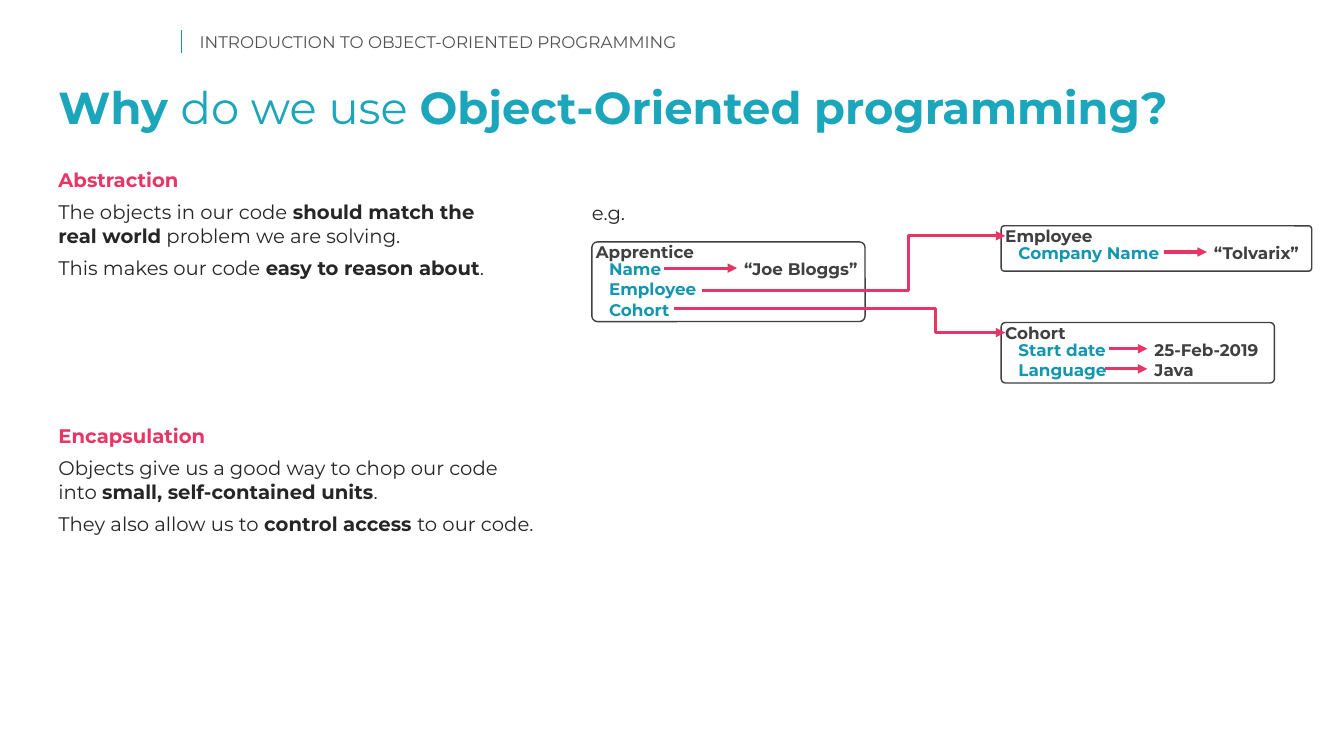
"""Build a slide explaining why object-oriented programming is used."""
from dataclasses import dataclass

import lxml.etree
import pptx
import pptx.dml.color
import pptx.enum.shapes
import pptx.enum.text
import pptx.oxml.ns
import pptx.util

Inches = pptx.util.Inches
RGBColor = pptx.dml.color.RGBColor
Connector = pptx.enum.shapes.MSO_CONNECTOR

FONT = "Montserrat"
TITLE_TEAL = RGBColor(0x1B, 0xA6, 0xBC)
TEAL = RGBColor(0x13, 0x96, 0xAE)
PINK = RGBColor(0xE7, 0x35, 0x65)
HEADER_GRAY = RGBColor(0x53, 0x53, 0x53)
CARD_GRAY = RGBColor(0x40, 0x40, 0x40)
BODY_GRAY = RGBColor(0x26, 0x26, 0x26)
ROW_HEIGHT = 0.2
FIELDS_TOP = 0.17


@dataclass
class Run:
    text: str
    color: RGBColor = BODY_GRAY
    bold: bool = False


@dataclass
class Field:
    label: str
    value: str = ""
    arrow_start: float = 0


@dataclass
class Card:
    name: str
    left: float
    top: float
    width: float
    height: float
    value_left: float
    fields: list[Field]


@dataclass
class Link:
    start: tuple[float, float]
    end: tuple[float, float]
    bend: int


@dataclass
class TextBlock:
    left: float
    top: float
    width: float
    height: float
    paragraphs: list[list[Run]]


CARDS = [
    Card("Employee", 9.93, 2.24, 3.08, 0.45, 2.11,
         [Field("Company Name", "“Tolvarix”", 1.61)]),
    Card("Apprentice", 5.87, 2.4, 2.71, 0.79, 1.51,
         [Field("Name", "“Joe Bloggs”", 0.72), Field("Employee"), Field("Cohort")]),
    Card("Cohort", 9.93, 3.2, 2.71, 0.6, 1.52,
         [Field("Start date", "25-Feb-2019", 1.07), Field("Language", "Java", 1.03)]),
]
LINKS = [
    Link((6.96, 2.88), (9.97, 2.34), 68100),
    Link((6.68, 3.06), (9.97, 3.3), 79000),
]
BLOCKS = [
    TextBlock(0.58, 1.67, 4.33, 1.11, [
        [Run("Abstraction", PINK, True)],
        [Run("The objects in our code "), Run("should match the real world", bold=True),
         Run(" problem we are solving.")],
        [Run("This makes our code "), Run("easy to reason about", bold=True), Run(".")],
    ]),
    TextBlock(0.58, 4.21, 4.73, 1.11, [
        [Run("Encapsulation", PINK, True)],
        [Run("Objects give us a good way to chop our code into "),
         Run("small, self-contained units", bold=True), Run(".")],
        [Run("They also allow us to "), Run("control access ", bold=True), Run("to our code.")],
    ]),
    TextBlock(5.87, 1.99, 0.56, 0.24, [[Run("e.g.")]]),
]


def fill_text(shape, paragraphs: list[list[Run]], size: float,
              space_after: float = 0, line_spacing: float = 1.0) -> None:
    """Write styled runs into a shape without margins."""
    frame = shape.text_frame
    frame.word_wrap = True
    frame.auto_size = pptx.enum.text.MSO_AUTO_SIZE.NONE
    frame.vertical_anchor = pptx.enum.text.MSO_ANCHOR.TOP
    frame.margin_left = frame.margin_right = frame.margin_top = frame.margin_bottom = 0
    for index, runs in enumerate(paragraphs):
        paragraph = frame.add_paragraph() if index else frame.paragraphs[0]
        paragraph.alignment = pptx.enum.text.PP_ALIGN.LEFT
        paragraph.space_before = pptx.util.Pt(0)
        paragraph.space_after = pptx.util.Pt(space_after)
        paragraph.line_spacing = line_spacing
        for item in runs:
            run = paragraph.add_run()
            run.text = item.text
            run.font.name = FONT
            run.font.size = pptx.util.Pt(size)
            run.font.bold = item.bold
            run.font.color.rgb = item.color


def add_text(slide, left: float, top: float, width: float, height: float,
             paragraphs: list[list[Run]], size: float = 12,
             space_after: float = 0, line_spacing: float = 1.0) -> None:
    """Add a text box with styled runs."""
    box = slide.shapes.add_textbox(Inches(left), Inches(top), Inches(width), Inches(height))
    fill_text(box, paragraphs, size, space_after, line_spacing)


def add_line(slide, kind, start: tuple[float, float], end: tuple[float, float],
             color: RGBColor, width: float):
    """Add a connector without a shadow."""
    line = slide.shapes.add_connector(kind, *map(Inches, start + end))
    line.line.color.rgb = color
    line.line.width = pptx.util.Pt(width)
    properties = line.element.spPr
    lxml.etree.SubElement(properties, pptx.oxml.ns.qn("a:effectLst"))
    return line


def add_arrow(slide, kind, start: tuple[float, float], end: tuple[float, float]):
    """Add a pink connector ending in a triangle."""
    arrow = add_line(slide, kind, start, end, PINK, 2.25)
    outline = arrow.line._get_or_add_ln()
    lxml.etree.SubElement(outline, pptx.oxml.ns.qn("a:tailEnd"), type="triangle")
    return arrow


def add_link(slide, link: Link) -> None:
    """Add an elbow arrow from a field to the card it refers to."""
    arrow = add_arrow(slide, Connector.ELBOW, link.start, link.end)
    guides = arrow.element.spPr.prstGeom.get_or_add_avLst()
    lxml.etree.SubElement(guides, pptx.oxml.ns.qn("a:gd"), name="adj1", fmla=f"val {link.bend}")


def add_card(slide, card: Card) -> None:
    """Add an object card with its name, fields, values and arrows."""
    outline = slide.shapes.add_shape(
        pptx.enum.shapes.MSO_SHAPE.ROUNDED_RECTANGLE,
        Inches(card.left), Inches(card.top), Inches(card.width), Inches(card.height))
    outline.adjustments[0] = 0.069
    outline.shadow.inherit = False
    outline.fill.background()
    outline.line.color.rgb = CARD_GRAY
    outline.line.width = pptx.util.Pt(1)
    add_text(slide, card.left + 0.04, card.top, 1.02, ROW_HEIGHT,
             [[Run(card.name, CARD_GRAY, True)]])
    top = card.top + FIELDS_TOP
    value_left = card.left + card.value_left
    labels = [[Run(field.label, TEAL, True)] for field in card.fields]
    values = [[Run(field.value, CARD_GRAY, True)] for field in card.fields if field.value]
    add_text(slide, card.left + 0.17, top, 1.48, ROW_HEIGHT * len(labels), labels)
    add_text(slide, value_left, top, 1.19, ROW_HEIGHT * len(values), values)
    for row, field in enumerate(card.fields):
        if field.value:
            middle = top + 0.09 + row * ROW_HEIGHT
            add_arrow(slide, Connector.STRAIGHT, (card.left + field.arrow_start, middle),
                      (value_left - 0.07, middle))


def main() -> None:
    """Create and save the presentation."""
    presentation = pptx.Presentation()
    presentation.slide_width, presentation.slide_height = Inches(13.33), Inches(7.5)
    slide = presentation.slides.add_slide(presentation.slide_layouts[5])
    add_line(slide, Connector.STRAIGHT, (1.8, 0.53), (1.8, 0.3), TEAL, 1)
    add_text(slide, 1.98, 0.34, 9.37, 0.19,
             [[Run("INTRODUCTION TO OBJECT-ORIENTED PROGRAMMING", HEADER_GRAY)]],
             line_spacing=0.9)
    title = slide.shapes.title
    title.left, title.top = Inches(0.58), Inches(0.85)
    title.width, title.height = Inches(12.12), Inches(0.48)
    fill_text(title, [[Run("Why ", TITLE_TEAL, True), Run("do we use ", TITLE_TEAL),
                       Run("Object-Oriented programming?", TITLE_TEAL, True)]],
              32, line_spacing=0.9)
    for card in CARDS:
        add_card(slide, card)
    for link in LINKS:
        add_link(slide, link)
    for block in BLOCKS:
        add_text(slide, block.left, block.top, block.width, block.height,
                 block.paragraphs, size=14, space_after=6)
    presentation.save("out.pptx")


main()
